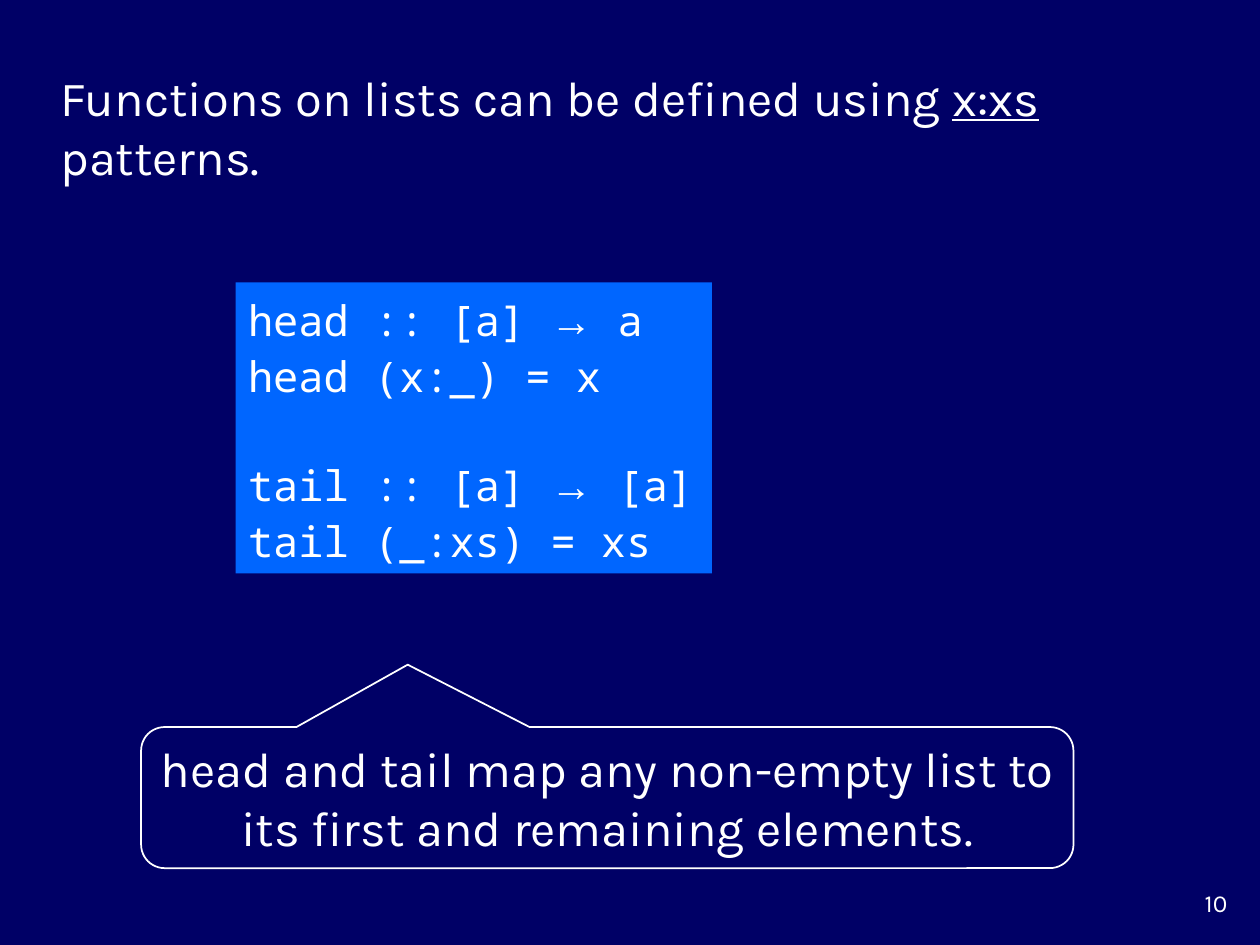
import pptx
import pptx.dml.color
import pptx.enum.shapes
import pptx.enum.text
import pptx.util

Inches = pptx.util.Inches
Align = pptx.enum.text.PP_ALIGN
Anchor = pptx.enum.text.MSO_ANCHOR
Shape = pptx.enum.shapes.MSO_SHAPE
WHITE, NAVY, BLUE = "FFFFFF", "000066", "0066FF"


def paint(target, color):
    """Give a fill one solid hex colour."""
    target.solid()
    target.fore_color.rgb = pptx.dml.color.RGBColor.from_string(color)


def add_span(para, text, font="Karla", size=28, color=WHITE, underline=False):
    """Append formatted text to a paragraph."""
    span = para.add_run()
    span.text = text
    span.font.name = font
    span.font.size = pptx.util.Pt(size)
    span.font.underline = underline
    paint(span.font.fill, color)


def set_frame(shape, anchor=Anchor.MIDDLE, align=Align.LEFT):
    """Prepare a text frame and return its first paragraph."""
    frame = shape.text_frame
    frame.word_wrap = True
    frame.auto_size = pptx.enum.text.MSO_AUTO_SIZE.NONE
    frame.vertical_anchor = anchor
    frame.paragraphs[0].alignment = align
    return frame.paragraphs[0]


def add_heading(page, left, top, width, height):
    """Place the heading in the title placeholder."""
    title = page.shapes.title
    title.left, title.top, title.width, title.height = left, top, width, height
    para = set_frame(title)
    add_span(para, "Functions on lists can be defined using ")
    add_span(para, "x:xs", underline=True)
    add_span(para, " patterns.")


def add_code(page, left, top, width, height, groups):
    """Place a code panel whose groups are set apart by one line."""
    panel = page.shapes.add_shape(Shape.RECTANGLE, left, top, width, height)
    panel.shadow.inherit = False
    paint(panel.fill, BLUE)
    panel.line.fill.background()
    para = set_frame(panel)
    for group_index, lines in enumerate(groups):
        for line_index, line in enumerate(lines):
            if group_index or line_index:
                para = panel.text_frame.add_paragraph()
            para.alignment = Align.LEFT
            para.line_spacing = 1.1
            if group_index and not line_index:
                para.space_before = pptx.util.Pt(31)
            before, arrow, after = line.partition("→")
            add_span(para, before, font="Noto Sans Mono", size=24)
            if arrow:
                add_span(para, arrow, font="Times New Roman", size=24)
                add_span(para, after, font="Noto Sans Mono", size=24)


def add_callout(page, left, top, width, height, text):
    """Place an outlined callout that points up at the code."""
    callout = page.shapes.add_shape(
        Shape.ROUNDED_RECTANGULAR_CALLOUT, left, top, width, height)
    callout.shadow.inherit = False
    for index, value in enumerate((-0.214, -0.942, 0.167)):
        callout.adjustments[index] = value
    callout.fill.background()
    paint(callout.line.fill, WHITE)
    callout.line.width = pptx.util.Pt(1)
    add_span(set_frame(callout, align=Align.CENTER), text)


def add_page_number(page, left, top, width, height, text):
    """Place the page number at the right of its box."""
    box = page.shapes.add_textbox(left, top, width, height)
    add_span(set_frame(box, anchor=Anchor.TOP, align=Align.RIGHT), text, size=14)


def main():
    """Build the slide and save the deck."""
    deck = pptx.Presentation()
    deck.slide_width, deck.slide_height = Inches(10), Inches(7.5)
    page = deck.slides.add_slide(deck.slide_layouts.get_by_name("Title Only"))
    paint(page.background.fill, NAVY)
    add_page_number(page, Inches(9.17), Inches(7), Inches(0.67), Inches(0.33), "10")
    add_heading(page, Inches(0.38), Inches(0.72), Inches(9.39), Inches(0.57))
    add_code(page, Inches(1.87), Inches(2.24), Inches(3.78), Inches(2.31), [
        ["head :: [a] → a", "head (x:_) = x"],
        ["tail :: [a] → [a]", "tail (_:xs) = xs"],
    ])
    add_callout(
        page, Inches(1.12), Inches(5.77), Inches(7.4), Inches(1.12),
        "head and tail map any non-empty list to its first and remaining elements.")
    deck.save("out.pptx")


main()
